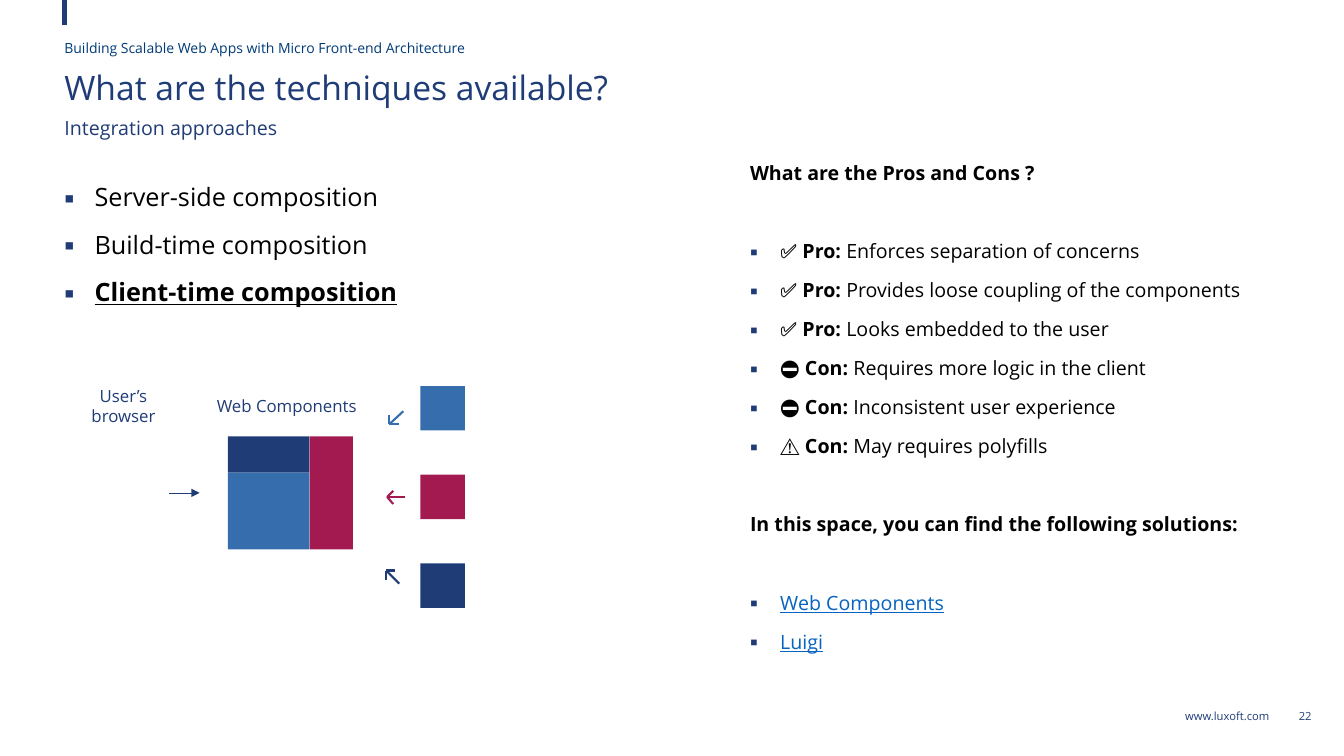
"""Builds the slide on integration approaches for micro front-ends."""
from lxml import etree
from pptx import Presentation
from pptx.dml.color import RGBColor
from pptx.enum.shapes import MSO_CONNECTOR, MSO_SHAPE
from pptx.enum.text import MSO_ANCHOR, PP_ALIGN
from pptx.oxml.ns import qn
from pptx.util import Inches, Pt

LEFT, CENTER, RIGHT = PP_ALIGN.LEFT, PP_ALIGN.CENTER, PP_ALIGN.RIGHT
TOP, MIDDLE = MSO_ANCHOR.TOP, MSO_ANCHOR.MIDDLE
STRAIGHT, RECTANGLE = MSO_CONNECTOR.STRAIGHT, MSO_SHAPE.RECTANGLE

THEME = {
    "font": "Open Sans",
    "navy": "1F3C77", "deep": "003B77", "blue": "356DAD", "red": "A31A51",
    "link": "0563C1", "black": "000000",
    "title": 24, "list": 18, "body": 14, "label": 12, "kicker": 10, "footer": 8,
}

LABELS = [
    ((12.8, 7, 0.29, 0.21), ["22"], "footer", "navy", CENTER,
     {"word_wrap": False, "margin_left": Inches(0.08), "margin_right": Inches(0.08),
      "margin_top": Inches(0.04), "margin_bottom": Inches(0.04)}),
    ((11.49, 6.99, 1.2, 0.24), ["www.luxoft.com"], "footer", "navy", RIGHT, {}),
    ((0.54, 0.34, 12.15, 0.31),
     ["Building Scalable Web Apps with Micro Front-end Architecture"],
     "kicker", "deep", LEFT, {}),
    ((0.54, 0.67, 12.15, 0.44), ["What are the techniques available?"],
     "title", "navy", LEFT, {"vertical_anchor": MIDDLE}),
    ((0.54, 1.1, 12.15, 0.38), ["Integration approaches"], "body", "navy", LEFT, {}),
    ((1.89, 3.88, 1.91, 0.3), ["Web Components"], "label", "navy", CENTER, {}),
    ((0.27, 3.78, 1.91, 0.5), ["User’s", "browser"], "label", "navy", CENTER, {}),
]

BOLD = {"bold": True}
STRONG = {"bold": True, "underline": True}
LINK = {"underline": True}

TECHNIQUES = [
    ("bullet", [("Server-side composition", {})]),
    ("bullet", [("Build-time composition", {})]),
    ("bullet", [("Client-time composition", STRONG)]),
]
ARGUMENTS = [
    ("✅ Pro: ", "Enforces separation of concerns"),
    ("✅ Pro: ", "Provides loose coupling of the components"),
    ("✅ Pro: ", "Looks embedded to the user"),
    ("⛔️ Con: ", "Requires more logic in the client"),
    ("⛔️ Con: ", "Inconsistent user experience"),
    ("⚠️ Con: ", "May requires polyfills"),
]
SOLUTIONS = ["Web Components", "Luigi"]
EVALUATION = [
    ("heading", [("What are the Pros and Cons ?", BOLD)]),
    *[("bullet", [(tag, BOLD), (text, {})]) for tag, text in ARGUMENTS],
    ("heading", [("In this space, you can find the following solutions:", BOLD)]),
    *[("bullet", [(name, LINK)]) for name in SOLUTIONS],
]
LISTS = [
    ((0.54, 1.66, 5.86, 4.87), TECHNIQUES, "list"),
    ((7.34, 1.48, 5.35, 5.43), EVALUATION, "body"),
]
LIST_GAP, SECTION_GAP = 3, 31

PAGE_PARTS = [
    ((2.26, 4.33, 0.81, 0.36), "navy"),
    ((3.07, 4.33, 0.43, 1.12), "red"),
    ((2.26, 4.69, 0.81, 0.76), "blue"),
]
COMPONENT_LEFT, COMPONENT_TOP, COMPONENT_STEP, COMPONENT_SIZE = 4.17, 3.83, 0.88, 0.44
COMPONENTS = [
    ("blue", (3.86, 4.21), [(4, 4.08), (3.86, 4.12), (3.96, 4.21)]),
    ("red", (3.84, 4.93), [(4.02, 4.93), (3.9, 4.87), (3.9, 5)]),
    ("navy", (3.83, 5.66), [(3.96, 5.79), (3.92, 5.66), (3.83, 5.75)]),
]


def rgb(name):
    return RGBColor.from_string(THEME[name])


def apply(target, formats):
    for name, value in formats.items():
        setattr(target, name, value)


def add_run(p, text, size, color, formats):
    r = p.add_run()
    r.text = text
    apply(r.font, {"name": THEME["font"], "size": Pt(THEME[size]), **formats})
    r.font.color.rgb = rgb(color)


def add_frame(s, box, formats):
    tf = s.shapes.add_textbox(*map(Inches, box)).text_frame
    apply(tf, {"word_wrap": True, "vertical_anchor": TOP, **formats})
    return tf


def paragraph(tf, i):
    return tf.add_paragraph() if i else tf.paragraphs[0]


def add_label(s, box, lines, size, color, align, formats):
    tf = add_frame(s, box, formats)
    for i, text in enumerate(lines):
        p = paragraph(tf, i)
        apply(p, {"alignment": align, "line_spacing": 0.9 if size == "title" else 1.0})
        add_run(p, text, size, color, {})


def add_bullet(p):
    pPr = p._p.get_or_add_pPr()
    pPr.set("marL", str(Inches(0.3)))
    pPr.set("indent", str(Inches(-0.3)))
    color = etree.SubElement(pPr, qn("a:buClr"))
    etree.SubElement(color, qn("a:srgbClr"), val=THEME["navy"])
    etree.SubElement(pPr, qn("a:buFont"), typeface=THEME["font"])
    etree.SubElement(pPr, qn("a:buChar"), char="▪")


def add_list(s, box, items, size):
    tf = add_frame(s, box, {})
    previous = None
    for i, (kind, runs) in enumerate(items):
        p = paragraph(tf, i)
        before = LIST_GAP if kind == previous else SECTION_GAP
        apply(p, {"line_spacing": 1.3, "space_before": Pt(before if i else 0),
                  "space_after": Pt(LIST_GAP)})
        if kind == "bullet":
            add_bullet(p)
        for text, formats in runs:
            add_run(p, text, size, "link" if formats is LINK else "black", formats)
        previous = kind


def add_block(s, box, color):
    sp = s.shapes.add_shape(RECTANGLE, *map(Inches, box))
    sp.shadow.inherit = False
    sp.fill.solid()
    sp.fill.fore_color.rgb = rgb(color)
    sp.line.fill.background()


def add_line(s, start, end, color, width):
    line = s.shapes.add_connector(STRAIGHT, *map(Inches, (*start, *end)))
    line.line.color.rgb = rgb(color)
    line.line.width = Pt(width)
    etree.SubElement(line._element.spPr, qn("a:effectLst"))
    return line


def main():
    prs = Presentation()
    prs.slide_width, prs.slide_height = Inches(13.33), Inches(7.5)
    s = prs.slides.add_slide(prs.slide_layouts[6])

    add_line(s, (0.64, 0), (0.64, 0.25), "navy", 3)
    for label in LABELS:
        add_label(s, *label)
    for entry in LISTS:
        add_list(s, *entry)
    for box, color in PAGE_PARTS:
        add_block(s, box, color)
    for i, (color, tip, ends) in enumerate(COMPONENTS):
        top = COMPONENT_TOP + i * COMPONENT_STEP
        add_block(s, (COMPONENT_LEFT, top, COMPONENT_SIZE, COMPONENT_SIZE), color)
        for end in ends:
            add_line(s, end, tip, color, 1.5)

    request = add_line(s, (1.68, 4.89), (1.98, 4.89), "navy", 0.5)
    etree.SubElement(request.line._get_or_add_ln(), qn("a:tailEnd"), type="triangle")
    prs.save("out.pptx")


if __name__ == "__main__":
    main()
